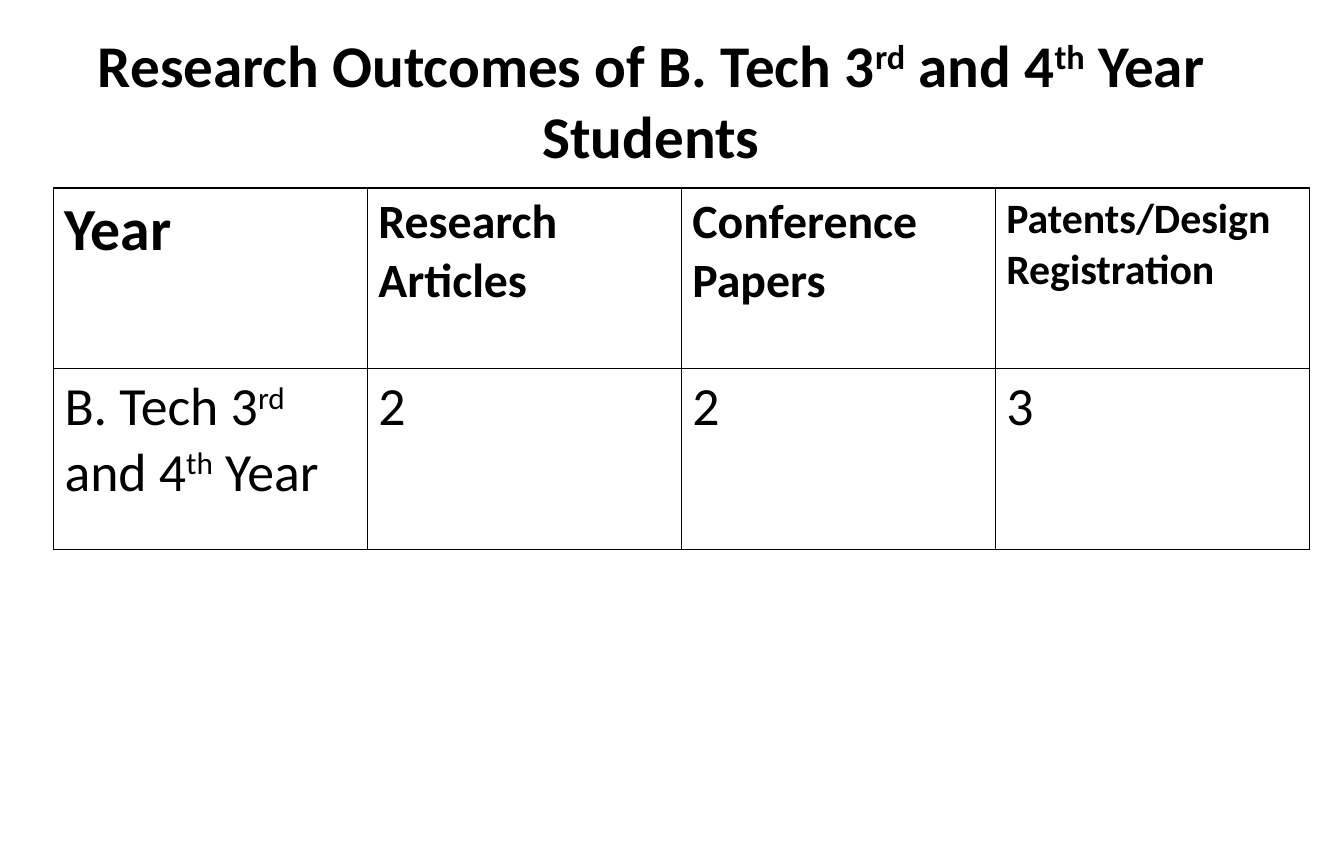
"""Build a slide with a title and a table of student research outcomes."""
from dataclasses import dataclass

from lxml.etree import SubElement as Sub
from pptx import Presentation
from pptx.dml.color import RGBColor
from pptx.enum.text import MSO_ANCHOR as Anchor, MSO_AUTO_SIZE as Fit, PP_ALIGN as Align
from pptx.oxml.ns import qn
from pptx.slide import Slide
from pptx.table import _Cell as Cell
from pptx.text.text import TextFrame
from pptx.util import Pt

PX = 9144
FONT = "Calibri"
BLACK = RGBColor(0, 0, 0)
TITLE = "Research Outcomes of B. Tech 3^rd^ and 4^th^ Year Students"


@dataclass
class Entry:
    text: str
    size: float
    bold: bool = False


ROWS = [
    [
        Entry("Year", 40, True),
        Entry("Research Articles", 32, True),
        Entry("Conference Papers", 32, True),
        Entry("Patents/Design Registration", 28, True),
    ],
    [Entry(text, 36) for text in ("B. Tech 3^rd^ and 4^th^ Year", "2", "2", "3")],
]


def px(*sizes: int) -> list[int]:
    return [size * PX for size in sizes]


def write(frame: TextFrame, text: str, *, size: float, bold: bool = False,
          align: Align = Align.LEFT) -> None:
    para = frame.paragraphs[0]
    para.alignment = align
    for index, part in enumerate(text.split("^")):
        run = para.add_run()
        run.text = part
        font = run.font
        font.name, font.size, font.bold = FONT, Pt(size), bold
        font.color.rgb = BLACK
        if index % 2:
            run._r.get_or_add_rPr().set("baseline", "30000")


def edge(cell: Cell) -> None:
    props = cell._tc.get_or_add_tcPr()
    for side in ("lnL", "lnR", "lnT", "lnB"):
        line = Sub(props, qn(f"a:{side}"), w=str(Pt(1)))
        fill = Sub(line, qn("a:solidFill"))
        Sub(fill, qn("a:srgbClr"), val=str(BLACK))


def head(slide: Slide) -> None:
    title = slide.shapes.title
    title.left, title.top, title.width, title.height = px(50, 30, 1111, 125)
    frame = title.text_frame
    frame.word_wrap = True
    frame.auto_size = Fit.NONE
    frame.vertical_anchor = Anchor.MIDDLE
    write(frame, TITLE, size=39.6, bold=True, align=Align.CENTER)


def grid(slide: Slide, rows: list[list[Entry]]) -> None:
    shape = slide.shapes.add_table(len(rows), len(rows[0]), *px(50, 175, 1168, 336))
    table = shape.table
    table.first_row = table.horz_banding = False
    for row, entries in enumerate(rows):
        for col, entry in enumerate(entries):
            cell = table.cell(row, col)
            edge(cell)
            cell.fill.background()
            write(cell.text_frame, entry.text, size=entry.size, bold=entry.bold)


def main() -> None:
    deck = Presentation()
    deck.slide_width, deck.slide_height = px(1250, 800)
    slide = deck.slides.add_slide(deck.slide_layouts[5])
    head(slide)
    grid(slide, ROWS)
    deck.save("out.pptx")


if __name__ == "__main__":
    main()
